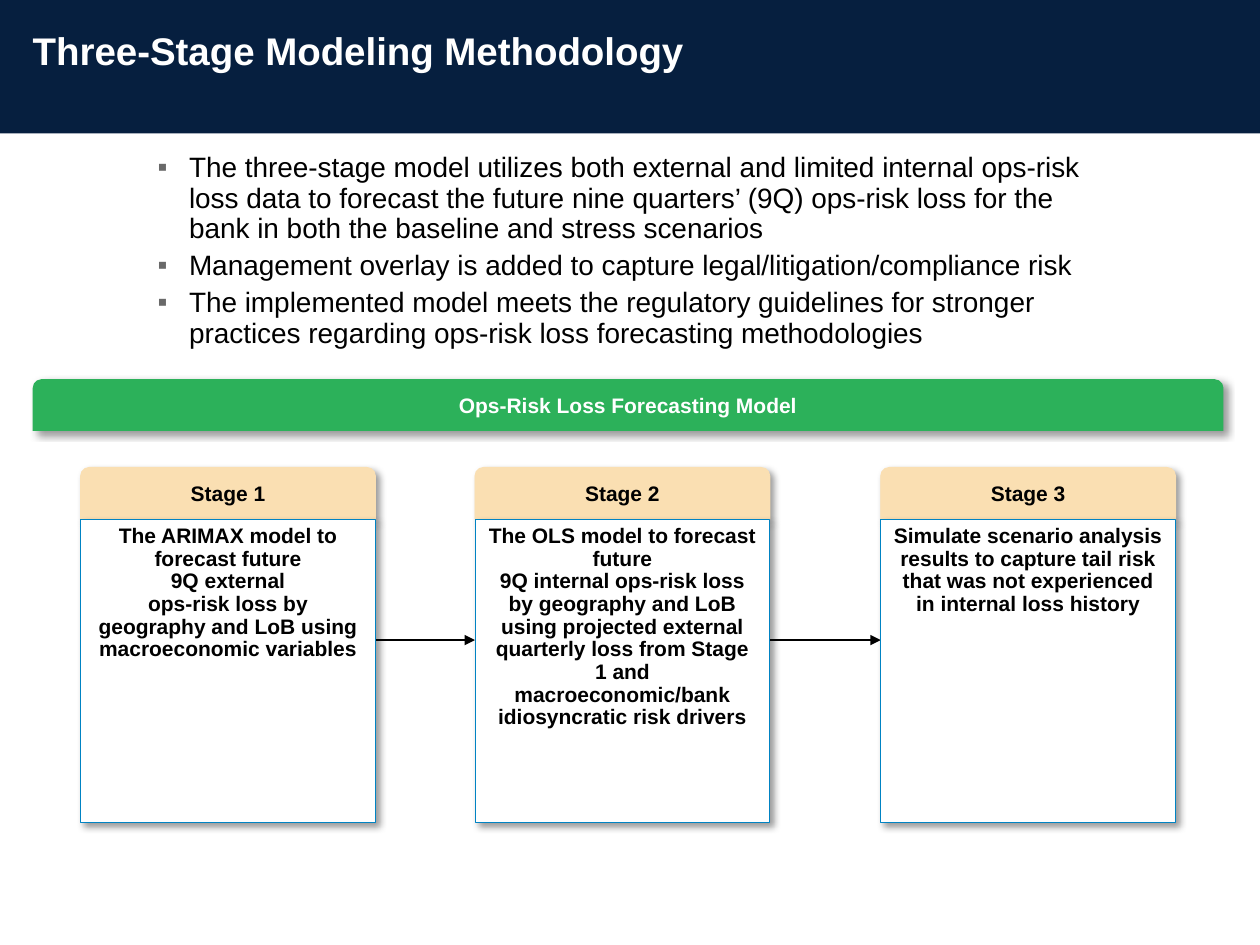
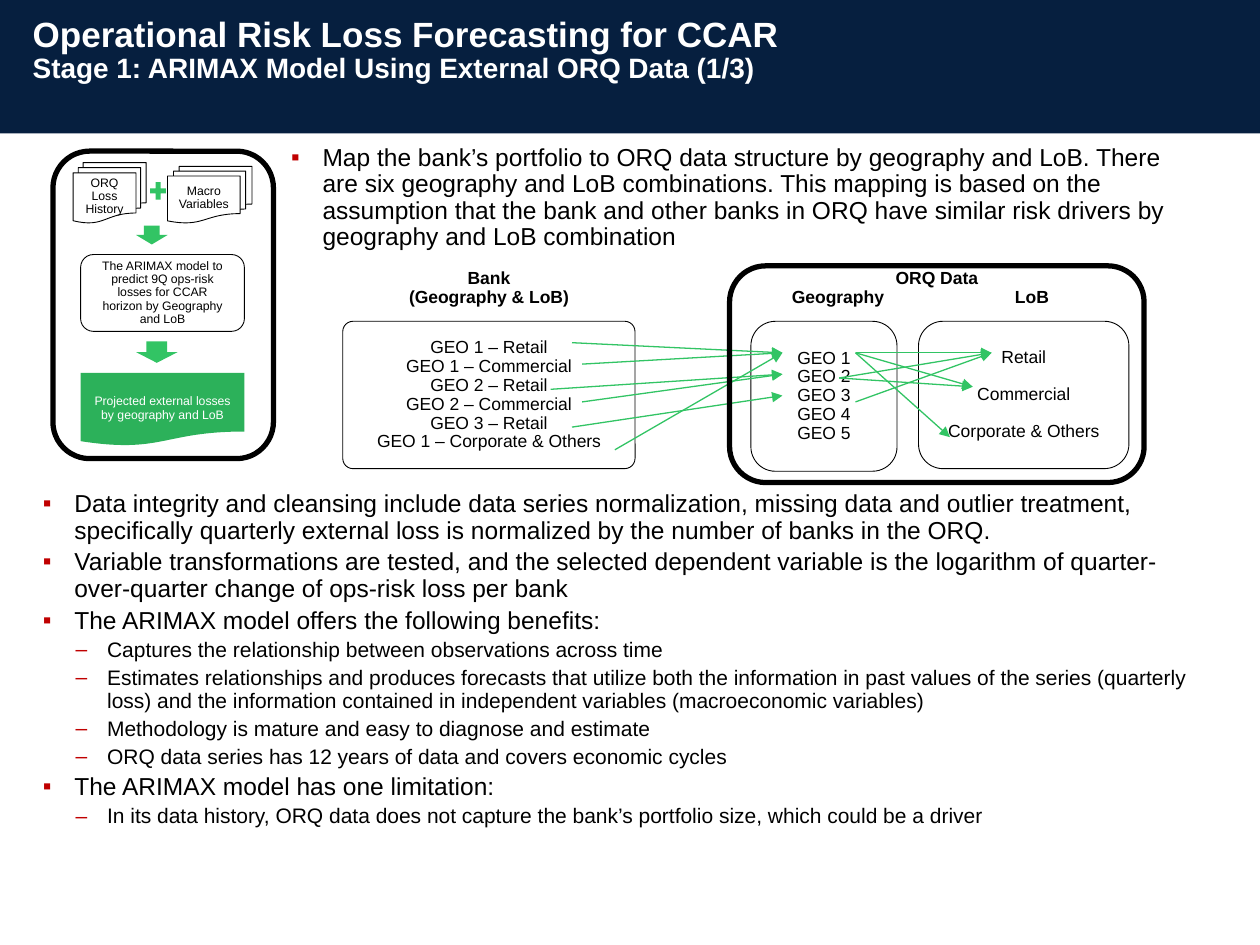
from lxml import etree
from pptx import Presentation
from pptx import util as u
from pptx.dml.color import RGBColor
from pptx.enum import shapes, text
from pptx.oxml.ns import qn

NAVY = RGBColor(0x06, 0x1F, 0x3F)
GREEN = RGBColor(0x2C, 0xB1, 0x5A)
ARROW_GREEN = RGBColor(0x32, 0xC4, 0x64)
SAND = RGBColor(0xFA, 0xDF, 0xB2)
BLUE = RGBColor(0x00, 0x83, 0xC3)
GREY = RGBColor(0x69, 0x69, 0x69)
RED = RGBColor(0xC0, 0x00, 0x00)
BLACK = RGBColor(0, 0, 0)
WHITE = RGBColor(0xFF, 0xFF, 0xFF)

FONT = "Arial"
SLIDE_W, SLIDE_H, BAND_H = 10, 7.5, 1.06
MARGIN, TITLE_W = 0.26, 7.73
PRESET = shapes.MSO_SHAPE
CENTER = text.PP_ALIGN.CENTER
MIDDLE, TOP = text.MSO_ANCHOR.MIDDLE, text.MSO_ANCHOR.TOP

# ---- Content: three stages ----
METHOD_TITLE = [("Three-Stage Modeling Methodology", 22)]
METHOD_POINTS = [
    (0, "The three-stage model utilizes both external and limited internal ops-risk loss data to "
        "forecast the future nine quarters’ (9Q) ops-risk loss for the bank in both the baseline "
        "and stress scenarios"),
    (0, "Management overlay is added to capture legal/litigation/compliance risk"),
    (0, "The implemented model meets the regulatory guidelines for stronger practices regarding "
        "ops-risk loss forecasting methodologies"),
]
MODEL_BANNER = "Ops-Risk Loss Forecasting Model"
STAGES = [  # left edge, heading, description
    (0.64, "Stage 1", "The ARIMAX model to forecast future\n9Q external\nops-risk loss by geography "
                      "and LoB using macroeconomic variables"),
    (3.77, "Stage 2", "The OLS model to forecast future\n9Q internal ops-risk loss by geography and "
                      "LoB using projected external quarterly loss from Stage 1 and "
                      "macroeconomic/bank idiosyncratic risk drivers"),
    (6.99, "Stage 3", "Simulate scenario analysis results to capture tail risk that was not "
                      "experienced in internal loss history"),
]

# ---- Content: stage 1 in detail ----
ARIMAX_TITLE = [("Operational Risk Loss Forecasting for CCAR", 20),
                ("Stage 1: ARIMAX Model Using External ORQ Data (1/3)", 16)]
MAPPING_POINT = [
    (0, "Map the bank’s portfolio to ORQ data structure by geography and LoB. There are six "
        "geography and LoB combinations. This mapping is based on the assumption that the bank and "
        "other banks in ORQ have similar risk drivers by geography and LoB combination"),
]
ARIMAX_POINTS = [
    (0, "Data integrity and cleansing include data series normalization, missing data and outlier "
        "treatment, specifically quarterly external loss is normalized by the number of banks in "
        "the ORQ."),
    (0, "Variable transformations are tested, and the selected dependent variable is the logarithm "
        "of quarter-over-quarter change of ops-risk loss per bank"),
    (0, "The ARIMAX model offers the following benefits:"),
    (1, "Captures the relationship between observations across time"),
    (1, "Estimates relationships and produces forecasts that utilize both the information in past "
        "values of the series (quarterly loss) and the information contained in independent "
        "variables (macroeconomic variables)"),
    (1, "Methodology is mature and easy to diagnose and estimate"),
    (1, "ORQ data series has 12 years of data and covers economic cycles"),
    (0, "The ARIMAX model has one limitation:"),
    (1, "In its data history, ORQ data does not capture the bank’s portfolio size, which could be "
        "a driver"),
]
BANK_HEADING = ["Bank", "(Geography & LoB)"]
DATA_HEADING = ["ORQ Data", "\tGeography\tLoB"]
HEADING_TABS = [0.59, 2.13]
BANK_ROWS = [  # label, arrow start, target geography
    ("GEO 1 – Retail", (4.54, 2.72), "GEO 1"),
    ("GEO 1 – Commercial", (4.62, 2.89), "GEO 1"),
    ("GEO 2 – Retail", (4.37, 3.09), "GEO 2"),
    ("GEO 2 – Commercial", (4.62, 3.19), "GEO 2"),
    ("GEO 3 – Retail", (4.54, 3.39), "GEO 3"),
    ("GEO 1 – Corporate & Others", (4.88, 3.57), "GEO 1"),
]
GEOGRAPHIES = [f"GEO {number}" for number in range(1, 6)]
GEO_ENTRY = {"GEO 1": (6.21, 2.8), "GEO 2": (6.21, 2.97), "GEO 3": (6.21, 3.14)}
GEO_EXIT = {"GEO 1": (6.79, 2.8), "GEO 2": (6.66, 3.0), "GEO 3": (6.79, 3.19)}
LOB_ENTRY = {"Retail": (7.87, 2.8), "Commercial": (7.72, 3.07), "Corporate & Others": (7.54, 3.47)}
GEO_TO_LOB = {"GEO 1": ["Retail", "Commercial", "Corporate & Others"],
              "GEO 2": ["Retail", "Commercial"],
              "GEO 3": ["Retail"]}


def inches(values):
    return [u.Inches(value) for value in values]


def write(paragraph, words, size, color=BLACK, bold=False):
    """Add words to a paragraph at 90% line spacing; a newline is a line break."""
    paragraph.line_spacing = 0.9
    for index, line in enumerate(words.split("\n")):
        if index:
            paragraph.add_line_break()
        run = paragraph.add_run()
        run.text = line
        run.font.name, run.font.size = FONT, u.Pt(size)
        run.font.bold, run.font.color.rgb = bold, color


def paragraphs_of(frame, lines):
    """Yield one paragraph for each line, starting with the one already there."""
    for index, line in enumerate(lines):
        yield (frame.add_paragraph() if index else frame.paragraphs[0]), line


def set_insets(frame, left, top, right, bottom):
    frame.margin_left, frame.margin_top, frame.margin_right, frame.margin_bottom = inches(
        (left, top, right, bottom))


def place(shape, box):
    shape.left, shape.top, shape.width, shape.height = inches(box)


def add_box(slide, preset, box, lines=(), size=10, color=BLACK, bold=False, fill=None, line=None,
            width=0.5, anchor=MIDDLE, gap=0):
    box_shape = slide.shapes.add_shape(preset, *inches(box))
    box_shape.shadow.inherit = False
    if fill is None:
        box_shape.fill.background()
    else:
        box_shape.fill.solid()
        box_shape.fill.fore_color.rgb = fill
    if line is None:
        box_shape.line.fill.background()
    else:
        box_shape.line.color.rgb, box_shape.line.width = line, u.Pt(width)
    frame = box_shape.text_frame
    frame.word_wrap, frame.vertical_anchor = True, anchor
    for paragraph, words in paragraphs_of(frame, lines):
        paragraph.alignment = CENTER
        if words != lines[0]:
            paragraph.space_before = u.Pt(gap)
        write(paragraph, words, size, color, bold)
    return box_shape


def cast_shadow(shape):
    effects = shape._element.spPr.find(qn("a:effectLst"))
    shadow = etree.SubElement(effects, qn("a:outerShdw"), blurRad=str(u.Pt(4)), dist=str(u.Pt(3)),
                              dir=str(45 * 60000), algn="tl", rotWithShape="0")
    black = etree.SubElement(shadow, qn("a:srgbClr"), val=str(BLACK))
    etree.SubElement(black, qn("a:alpha"), val="40000")


def add_arrow(slide, start, end, color):
    arrow = slide.shapes.add_connector(shapes.MSO_CONNECTOR.STRAIGHT, *inches(start + end))
    arrow.line.color.rgb, arrow.line.width = color, u.Pt(0.75)
    etree.SubElement(arrow.line._get_or_add_ln(), qn("a:tailEnd"), type="triangle")
    etree.SubElement(arrow._element.spPr, qn("a:effectLst"))


def add_heading(slide, box, lines, tabs=()):
    """Bold column heading; a line that opens with a tab uses the centred tab stops."""
    frame = slide.shapes.add_textbox(*inches(box)).text_frame
    frame.word_wrap = True
    set_insets(frame, 0, 0, 0, 0)
    for paragraph, words in paragraphs_of(frame, lines):
        if words.startswith("\t"):
            stops = etree.SubElement(paragraph._p.get_or_add_pPr(), qn("a:tabLst"))
            for tab in tabs:
                etree.SubElement(stops, qn("a:tab"), pos=str(u.Inches(tab)), algn="ctr")
        else:
            paragraph.alignment = CENTER
        write(paragraph, words, 10, bold=True)


def fill_title(slide, lines, top, height):
    title = slide.shapes.title
    place(title, (MARGIN, top, TITLE_W, height))
    frame = title.text_frame
    frame.auto_size, frame.vertical_anchor = text.MSO_AUTO_SIZE.NONE, MIDDLE
    set_insets(frame, 0, 0, 0, 0)
    paragraph = frame.paragraphs[0]
    paragraph.alignment = text.PP_ALIGN.LEFT
    for index, (words, size) in enumerate(lines):
        if index:
            paragraph.add_line_break()
        write(paragraph, words, size, WHITE, True)


def fill_bullets(body, box, points, sizes, bullet_color, before, after, inset=(0, 0, 0, 0)):
    place(body, box)
    frame = body.text_frame
    frame.auto_size, frame.vertical_anchor = text.MSO_AUTO_SIZE.NONE, TOP
    set_insets(frame, *inset)
    for paragraph, (level, words) in paragraphs_of(frame, points):
        paragraph.level = level
        props = paragraph._p.get_or_add_pPr()
        props.set("marL", str(u.Inches((0.25, 0.51)[level])))
        props.set("indent", str(u.Inches(-0.25)))
        tint = etree.SubElement(props, qn("a:buClr"))
        etree.SubElement(tint, qn("a:srgbClr"), val=str(bullet_color))
        etree.SubElement(props, qn("a:buFont"), typeface=FONT)
        etree.SubElement(props, qn("a:buChar"), char="▪–"[level])
        paragraph.space_before = u.Pt(before if paragraph._p is not frame.paragraphs[0]._p else 0)
        paragraph.space_after = u.Pt(after)
        write(paragraph, words, sizes[level])


def add_master_band(prs, slide):
    """Draw the title band once and hand it to the slide master, behind everything."""
    band = add_box(slide, PRESET.RECTANGLE, (0, 0, SLIDE_W, BAND_H), fill=NAVY)
    band._element.nvSpPr.cNvPr.set("id", "99")
    prs.slide_master.shapes._spTree.insert(2, band._element)


def build_methodology(slide):
    fill_title(slide, METHOD_TITLE, 0.25, 0.34)
    fill_bullets(slide.placeholders[1], (1.15, 1.17, 7.83, 1.67), METHOD_POINTS, (16, 16), GREY,
                 2, 2, (0.1, 0.05, 0.1, 0.05))
    cast_shadow(add_box(slide, PRESET.ROUND_2_SAME_RECTANGLE, (MARGIN, 3.01, 9.45, 0.41),
                        [MODEL_BANNER], 12, WHITE, True, GREEN))

    card_w, head_top, card_top, card_h, arrow_y = 2.34, 3.71, 4.12, 2.41, 5.08
    for (left, *_), (following, *_) in zip(STAGES, STAGES[1:]):
        add_arrow(slide, (left + card_w, arrow_y), (following, arrow_y), BLACK)
    for left, heading, description in STAGES:
        cast_shadow(add_box(slide, PRESET.ROUND_2_SAME_RECTANGLE,
                            (left, head_top, card_w, card_top - head_top), [heading], 12,
                            bold=True, fill=SAND, line=SAND))
        cast_shadow(add_box(slide, PRESET.RECTANGLE, (left, card_top, card_w, card_h),
                            [description], 12, bold=True, fill=WHITE, line=BLUE, anchor=TOP))


def build_model_flow(slide):
    outlined = dict(size=7, fill=WHITE, line=BLACK)
    add_box(slide, PRESET.ROUNDED_RECTANGLE, (0.64, 2.02, 1.3, 0.61),
            ["The ARIMAX model to predict 9Q ops-risk losses for CCAR horizon by Geography and LoB"],
            **outlined)
    add_box(slide, PRESET.FLOWCHART_MULTIDOCUMENT, (0.58, 1.29, 0.58, 0.48), ["ORQ Loss History"],
            **outlined)
    macro = add_box(slide, PRESET.FLOWCHART_MULTIDOCUMENT, (1.33, 1.32, 0.67, 0.45),
                    ["Macro Variables"], **outlined)
    set_insets(macro.text_frame, 0.05, 0.05, 0.05, 0.05)
    for preset, box in [(PRESET.MATH_PLUS, (1.17, 1.42, 0.17, 0.19)),
                        (PRESET.DOWN_ARROW, (1.08, 1.79, 0.25, 0.15)),
                        (PRESET.DOWN_ARROW, (1.08, 2.71, 0.33, 0.17))]:
        add_box(slide, preset, box, fill=ARROW_GREEN)
    losses = add_box(slide, PRESET.FLOWCHART_DOCUMENT, (0.64, 2.96, 1.3, 0.58),
                     ["Projected external losses by geography and LoB"], 7, WHITE, fill=GREEN)
    losses.text_frame.margin_top = u.Inches(0.15)
    add_box(slide, PRESET.ROUNDED_RECTANGLE, (0.42, 1.2, 1.75, 2.44), line=BLACK, width=3)


def build_mapping(slide):
    outlined = dict(fill=WHITE, line=BLACK)
    list_top, heading_top = 2.55, 2.14
    bank = add_box(slide, PRESET.ROUNDED_RECTANGLE, (2.72, list_top, 2.32, 1.17),
                   [label for label, *_ in BANK_ROWS], **outlined)
    bank.adjustments[0] = 0.07
    add_heading(slide, (3.09, heading_top, 1.58, 0.34), BANK_HEADING)
    add_box(slide, PRESET.ROUNDED_RECTANGLE, (5.96, list_top, 1.16, 1.19), GEOGRAPHIES, **outlined)
    add_heading(slide, (6.06, heading_top, 2.75, 0.34), DATA_HEADING, HEADING_TABS)
    add_box(slide, PRESET.ROUNDED_RECTANGLE, (7.29, list_top, 1.67, 1.17), list(LOB_ENTRY),
            gap=10.5, **outlined)
    for _, start, geography in BANK_ROWS:
        add_arrow(slide, start, GEO_ENTRY[geography], ARROW_GREEN)
    for geography, lobs in GEO_TO_LOB.items():
        for lob in lobs:
            add_arrow(slide, GEO_EXIT[geography], LOB_ENTRY[lob], ARROW_GREEN)
    add_box(slide, PRESET.ROUNDED_RECTANGLE, (5.79, 2.11, 3.29, 1.72), line=BLACK, width=3)


def build_arimax(slide):
    fill_title(slide, ARIMAX_TITLE, 0.13, 0.55)
    build_model_flow(slide)
    fill_bullets(slide.placeholders[1], (2.31, 1.15, 7.17, 0.94), MAPPING_POINT, (14, 12), RED, 0, 0)
    fill_bullets(slide.placeholders[2], (0.34, 3.9, 9.25, 2.96), ARIMAX_POINTS, (14, 12), RED, 1, 2)
    build_mapping(slide)


def main():
    prs = Presentation()
    prs.slide_width, prs.slide_height = inches((SLIDE_W, SLIDE_H))
    methodology = prs.slides.add_slide(prs.slide_layouts.get_by_name("Title and Content"))
    add_master_band(prs, methodology)
    build_methodology(methodology)
    build_arimax(prs.slides.add_slide(prs.slide_layouts.get_by_name("Two Content")))
    prs.save("out.pptx")


if __name__ == "__main__":
    main()
